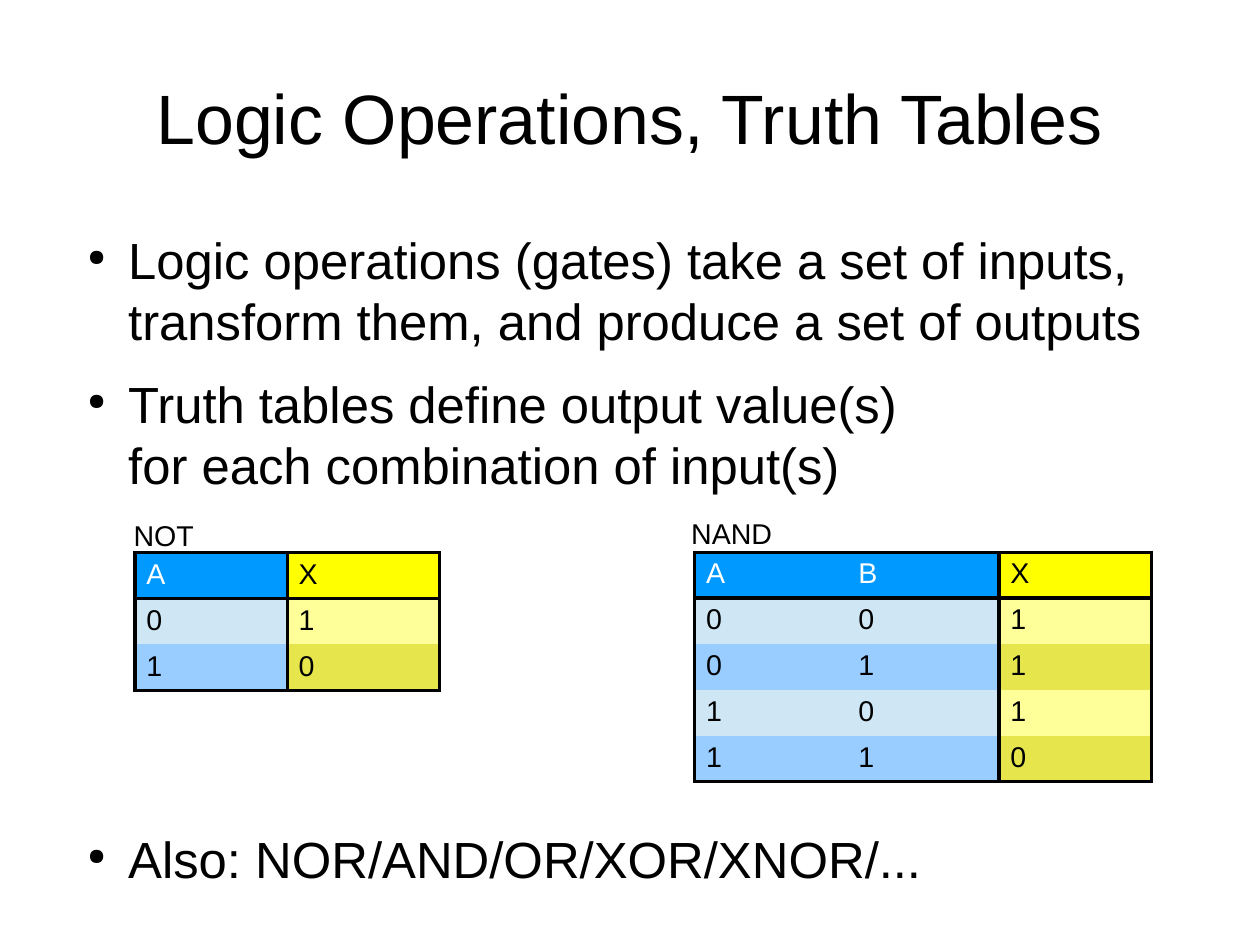
from lxml import etree
from pptx import Presentation
from pptx.dml.color import RGBColor
from pptx.enum import text as t
from pptx.oxml import ns
from pptx.util import Cm, Pt

COLORS = {
    "black": "000000", "white": "FFFFFF",
    "in_head": "0099FF", "in_light": "CFE7F5", "in_dark": "99CCFF",
    "out_head": "FFFF00", "out_light": "FFFF99", "out_dark": "E6E64C",
}


def rgb(name):
    return RGBColor.from_string(COLORS[name])


def style(para, size, color="black"):
    font = para.font
    font.name, font.size = "Arial", Pt(size)
    font.color.rgb = rgb(color)


def add_box(slide, left, top, width, height, margin=True):
    box = slide.shapes.add_textbox(Cm(left), Cm(top), Cm(width), Cm(height))
    frame = box.text_frame
    frame.word_wrap = True
    if not margin:
        frame.margin_left = frame.margin_right = 0
        frame.margin_top = frame.margin_bottom = 0
    return frame


def add_title(slide, words):
    frame = add_box(slide, 1.4, 0.84, 25.2, 3.5, margin=False)
    frame.vertical_anchor = t.MSO_ANCHOR.MIDDLE
    para = frame.paragraphs[0]
    para.text = words
    para.alignment = t.PP_ALIGN.CENTER
    style(para, 44)


def add_bullet(para):
    props = para._p.get_or_add_pPr()
    props.set("marL", str(Cm(1.2)))
    props.set("indent", str(Cm(-0.9)))
    color = etree.SubElement(props, ns.qn("a:buClr"))
    etree.SubElement(color, ns.qn("a:srgbClr"), val=COLORS["black"])
    etree.SubElement(props, ns.qn("a:buSzPct"), val="45000")
    etree.SubElement(props, ns.qn("a:buChar"), char="●")


def add_list(slide, top, height, items):
    frame = add_box(slide, 1.65, top, 24.64, height, margin=False)
    for i, item in enumerate(items):
        para = frame.add_paragraph() if i else frame.paragraphs[0]
        para.text = item
        add_bullet(para)
        para.space_after = Pt(14.2)
        style(para, 32)


def add_label(slide, left, top, width, words):
    frame = add_box(slide, left, top, width, 0.97)
    frame.word_wrap = False
    para = frame.paragraphs[0]
    para.text = words
    style(para, 18)


def set_edges(cell, edges):
    """Draw the named edges (from L, R, T, B) and clear the others."""
    props = cell._tc.get_or_add_tcPr()
    for side in "LRTB":
        line = etree.SubElement(props, ns.qn(f"a:ln{side}"), w=str(Pt(2.27)))
        if side in edges:
            fill = etree.SubElement(line, ns.qn("a:solidFill"))
            etree.SubElement(fill, ns.qn("a:srgbClr"), val=COLORS["black"])
        else:
            etree.SubElement(line, ns.qn("a:noFill"))


def add_truth(slide, left, top, rows):
    """Add a truth table whose last column is the output."""
    count, span = len(rows), len(rows[0])
    width, height = 3.38, 1.02
    table = slide.shapes.add_table(
        count, span, Cm(left), Cm(top), Cm(width * span), Cm(height * count)).table
    for col in table.columns:
        col.width = Cm(width)
    for r, row in enumerate(rows):
        table.rows[r].height = Cm(height)
        for c, value in enumerate(row):
            cell = table.cell(r, c)
            output = c == span - 1
            edges = {"L": c == 0 or output, "R": c >= span - 2,
                     "T": r <= 1, "B": r in (0, count - 1)}
            set_edges(cell, [side for side, drawn in edges.items() if drawn])
            shade = "head" if r == 0 else "light" if r % 2 else "dark"
            cell.fill.solid()
            cell.fill.fore_color.rgb = rgb(("out_" if output else "in_") + shade)
            cell.text = value
            head = r == 0 and not output
            style(cell.text_frame.paragraphs[0], 18, "white" if head else "black")


def main():
    deck = Presentation()
    deck.slide_width, deck.slide_height = Cm(28), Cm(21)
    slide = deck.slides.add_slide(deck.slide_layouts[6])
    add_title(slide, "Logic Operations, Truth Tables")
    add_list(slide, 5.08, 6.2, [
        "Logic operations (gates) take a set of inputs, "
        "transform them, and produce a set of outputs",
        "Truth tables define output value(s)\vfor each combination of input(s)",
    ])
    add_list(slide, 18.4, 1.6, ["Also: NOR/AND/OR/XOR/XNOR/..."])
    add_label(slide, 2.72, 11.38, 1.85, "NOT")
    add_label(slide, 15.11, 11.35, 2.31, "NAND")
    add_truth(slide, 3, 12.28, ["AX", "01", "10"])
    add_truth(slide, 15.44, 12.27, ["ABX", "001", "011", "101", "110"])
    deck.save("out.pptx")


if __name__ == "__main__":
    main()
